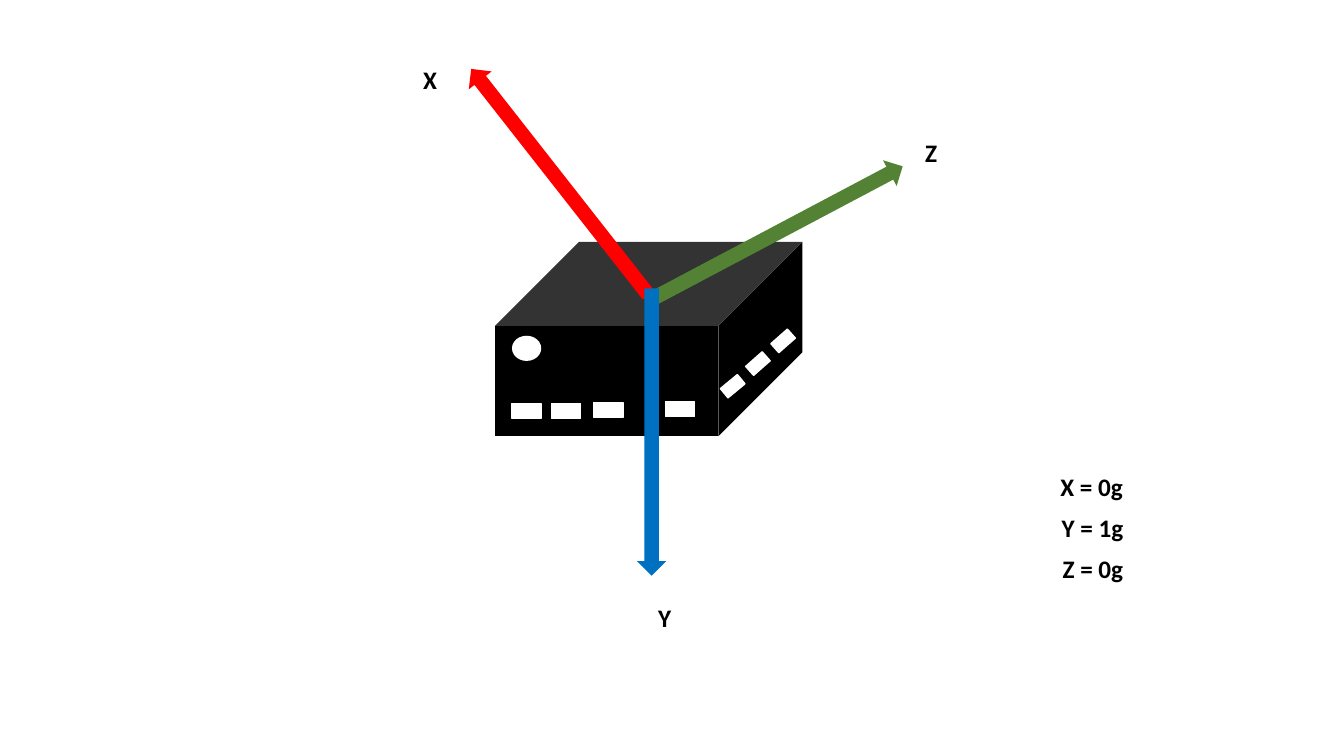
from dataclasses import dataclass

from pptx import Presentation
from pptx.dml.color import RGBColor
from pptx.enum import shapes, text
from pptx.util import Pt


@dataclass(frozen=True)
class Theme:
    black: str = "000000"
    white: str = "FFFFFF"
    x_axis: str = "FF0000"
    y_axis: str = "0070C0"
    z_axis: str = "548235"
    font: str = "Calibri"
    label_size: float = 18
    port_line: float = 1


THEME = Theme()
PRESET = shapes.MSO_SHAPE


def add_filled(slide, preset, left, top, width, height, color, rotation=0, line=None):
    shape = slide.shapes.add_shape(preset, Pt(left), Pt(top), Pt(width), Pt(height))
    shape.shadow.inherit = False
    shape.rotation = rotation
    shape.fill.solid()
    shape.fill.fore_color.rgb = RGBColor.from_string(color)
    if line:
        shape.line.color.rgb = RGBColor.from_string(color)
        shape.line.width = Pt(line)
    else:
        shape.line.fill.background()
    return shape


def add_label(slide, content, left, top, width, height=28.8,
              size=THEME.label_size, color=THEME.black, bold=True):
    box = slide.shapes.add_textbox(Pt(left), Pt(top), Pt(width), Pt(height))
    frame = box.text_frame
    frame.word_wrap = False
    frame.auto_size = text.MSO_AUTO_SIZE.SHAPE_TO_FIT_TEXT
    run = frame.paragraphs[0].add_run()
    run.text = content
    run.font.name = THEME.font
    run.font.size = Pt(size)
    run.font.bold = bold
    run.font.color.rgb = RGBColor.from_string(color)


def draw_body(slide, left, top, width, height):
    body = add_filled(slide, PRESET.CUBE, left, top, width, height, THEME.black)
    body.adjustments[0] = 0.432


def draw_axes(slide, left, top):
    length, thickness = 205.2, 20.8
    for center_x, center_y, rotation, color in (
        (46.4, -42.8, 51.9, THEME.x_axis),
        (200.6, -6, 152.1, THEME.z_axis),
        (112, 135.8, 270, THEME.y_axis),
    ):
        add_filled(slide, PRESET.LEFT_ARROW,
                   left + center_x - length / 2, top + center_y - thickness / 2,
                   length, thickness, color, rotation)


def draw_ports(slide, left, top):
    add_filled(slide, PRESET.FLOWCHART_CONNECTOR, left + 12.2, top + 67,
               20.9, 18, THEME.white)
    front = [(x, y, 20.9, 10.8, 0) for x, y in
             ((12.2, 115.2), (40.3, 115.2), (70.6, 114.5), (121.7, 113.8))]
    side = [(162 + 18 * step, 98.8 - 16.2 * step, 15.8, 8.6, rotation)
            for step, rotation in enumerate((320.5, 318.5, 318.5))]
    for x, y, width, height, rotation in front + side:
        add_filled(slide, PRESET.RECTANGLE, left + x, top + y, width, height,
                   THEME.white, rotation, THEME.port_line)


def draw_device(slide, left, top, width, height):
    draw_body(slide, left, top, width, height)
    draw_axes(slide, left, top)
    draw_ports(slide, left, top)
    for name, x, y, label_width in (
        ("X", -58.3, -130.3, 24.5),
        ("Y", 109.5, 254.2, 23.8),
        ("Z", 300.3, -78.5, 23),
    ):
        add_label(slide, name, left + x, top + y, label_width)


def draw_readings(slide, left, top, width, height):
    readings = (("X = 0g", 59.8), ("Y = 1g", 59), ("Z = 0g", 58.3))
    for row, (reading, label_width) in enumerate(readings):
        add_label(slide, reading, left + width - label_width,
                  top + row * height / len(readings), label_width)


def main():
    presentation = Presentation()
    presentation.slide_width = Pt(960)
    presentation.slide_height = Pt(540)
    slide = presentation.slides.add_slide(presentation.slide_layouts[6])
    draw_device(slide, 353.5, 172.8, 219.6, 139)
    draw_readings(slide, 750.2, 333.4, 60, 87.6)
    presentation.save("out.pptx")


if __name__ == "__main__":
    main()
